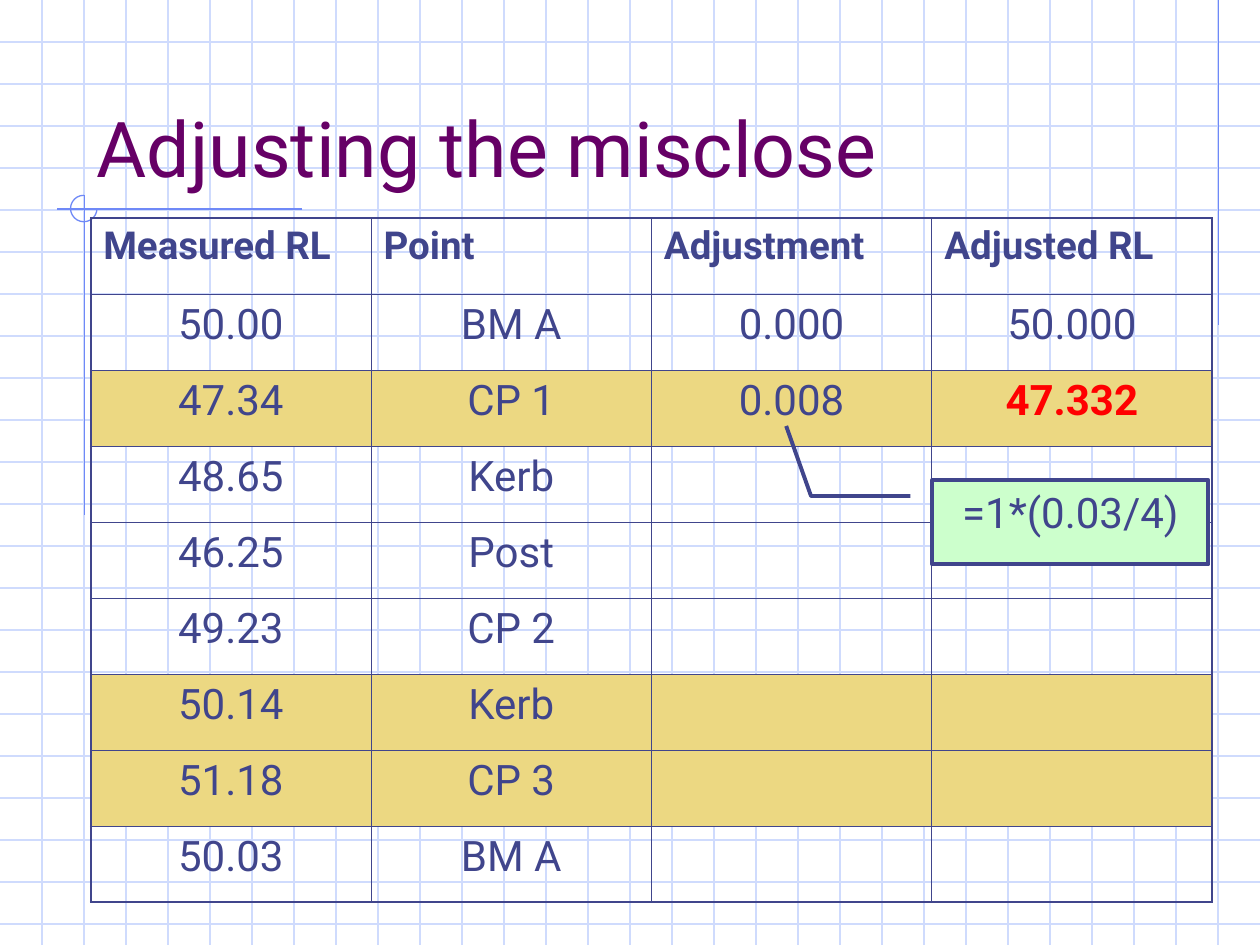
"""Build the levelling slide on adjusting the misclose."""
from lxml import etree
from pptx import Presentation, util as u
from pptx.dml.color import RGBColor
from pptx.enum import shapes, text
from pptx.oxml.ns import qn

INK, PURPLE, RED = "40458C", "660066", "FF0000"
GRID, RULE, GOLD, MINT = "CFDBFD", "6F89F7", "ECD882", "CCFFCC"
THIN, THICK = 0.45, 1.08
HEADER = ["Measured RL", "Point", "Adjustment", "Adjusted RL"]
LEVELS = [
    ["50.00", "BM A", "0.000", "50.000"],
    ["47.34", "CP 1", "0.008", "47.332"],
    ["48.65", "Kerb", "", ""],
    ["46.25", "Post", "", ""],
    ["49.23", "CP 2", "", ""],
    ["50.14", "Kerb", "", ""],
    ["51.18", "CP 3", "", ""],
    ["50.03", "BM A", "", ""],
]
GOLD_ROWS = {2, 6, 7}


def rgb(value):
    return RGBColor.from_string(value)


class Deck:
    font = "Roboto"
    margins = {"margin_left": u.Inches(0.1), "margin_right": u.Inches(0.1),
               "margin_top": u.Inches(0.05), "margin_bottom": u.Inches(0.05)}

    def __init__(self, width, height):
        self.prs = Presentation()
        self.prs.slide_width, self.prs.slide_height = u.Inches(width), u.Inches(height)
        self.s = self.prs.slides.add_slide(self.prs.slide_layouts[6])

    def label(self, tf, words, size, color=INK, bold=False, align=text.PP_ALIGN.LEFT):
        p = tf.paragraphs[0]
        p.alignment = align
        r = p.add_run()
        r.text = words
        for name, value in {"name": self.font, "size": u.Pt(size), "bold": bold}.items():
            setattr(r.font, name, value)
        r.font.color.rgb = rgb(color)

    def frame(self, tf, anchor):
        for name, value in {**self.margins, "word_wrap": True, "vertical_anchor": anchor}.items():
            setattr(tf, name, value)

    def line(self, x1, y1, x2, y2, color):
        c = self.s.shapes.add_connector(
            shapes.MSO_CONNECTOR.STRAIGHT, *map(u.Inches, (x1, y1, x2, y2)))
        c.line.color.rgb = rgb(color)
        c.line.width = u.Pt(0.75)
        etree.SubElement(c._element.spPr, qn("a:effectLst"))

    def shape(self, kind, box, color, width, fill=None, adjustments=()):
        sp = self.s.shapes.add_shape(kind, *map(u.Inches, box))
        sp.shadow.inherit = False
        for i, value in enumerate(adjustments):
            sp.adjustments[i] = value
        sp.line.color.rgb = rgb(color)
        sp.line.width = u.Pt(width)
        self.fill(sp, fill)
        return sp

    def fill(self, target, color):
        if color:
            target.fill.solid()
            target.fill.fore_color.rgb = rgb(color)
        else:
            target.fill.background()

    def title(self, words, box):
        tf = self.s.shapes.add_textbox(*map(u.Inches, box)).text_frame
        self.frame(tf, text.MSO_ANCHOR.BOTTOM)
        self.label(tf, words, 44, PURPLE)

    def callout(self, words, box, adjustments):
        sp = self.shape(shapes.MSO_SHAPE.LINE_CALLOUT_2, box, INK, 2.25, MINT, adjustments)
        self.frame(sp.text_frame, text.MSO_ANCHOR.TOP)
        self.label(sp.text_frame, words, 24, align=text.PP_ALIGN.CENTER)

    def borders(self, cell, outer):
        tc_pr = cell._tc.get_or_add_tcPr()
        for side in "LRTB":
            width = THICK if side in outer else THIN
            ln = etree.SubElement(tc_pr, qn(f"a:ln{side}"), w=str(int(u.Pt(width))))
            solid = etree.SubElement(ln, qn("a:solidFill"))
            etree.SubElement(solid, qn("a:srgbClr"), val=INK)

    def table(self, rows, box):
        last_row, last_col = len(rows) - 1, len(rows[0]) - 1
        table = self.s.shapes.add_table(
            len(rows), len(rows[0]), *map(u.Inches, box)).table
        table.first_row = table.horz_banding = False
        for i, row in enumerate(rows):
            for j, words in enumerate(row):
                cell = table.cell(i, j)
                edges = {"L": j == 0, "R": j == last_col, "T": i == 0, "B": i == last_row}
                self.borders(cell, {side for side, on in edges.items() if on})
                self.fill(cell, GOLD if i in GOLD_ROWS else None)
                for name, value in self.margins.items():
                    setattr(cell, name, value)
                if i == 0:
                    self.label(cell.text_frame, words, 22, bold=True)
                elif words:
                    result = words == "47.332"
                    self.label(cell.text_frame, words, 24, RED if result else INK,
                               result, text.PP_ALIGN.CENTER)


def main():
    deck = Deck(10, 7.5)
    for i in range(1, 23):
        deck.line(0, i / 3, 10, i / 3, GRID)
    for i in range(1, 30):
        deck.line(i / 3, 0, i / 3, 7.5, GRID)
    for ends in [(9.67, 0, 9.67, 2.58), (2.4, 1.66, 0.45, 1.66), (0.67, 1.55, 0.67, 4.09)]:
        deck.line(*ends, RULE)
    deck.shape(shapes.MSO_SHAPE.ARC, (0.56, 1.55, 0.21, 0.21), RULE, 0.75,
               adjustments=(0, 162))
    deck.title("Adjusting the misclose", (0.67, 0.33, 8.5, 1.25))
    deck.table([HEADER, *LEVELS], (0.72, 1.73, 8.9, 5.43))
    deck.callout("=1*(0.03/4)", (7.4, 3.81, 2.19, 0.67),
                 (0.19, -0.08, 0.19, -0.44, -0.64, -0.53))
    deck.prs.save("out.pptx")


if __name__ == "__main__":
    main()
